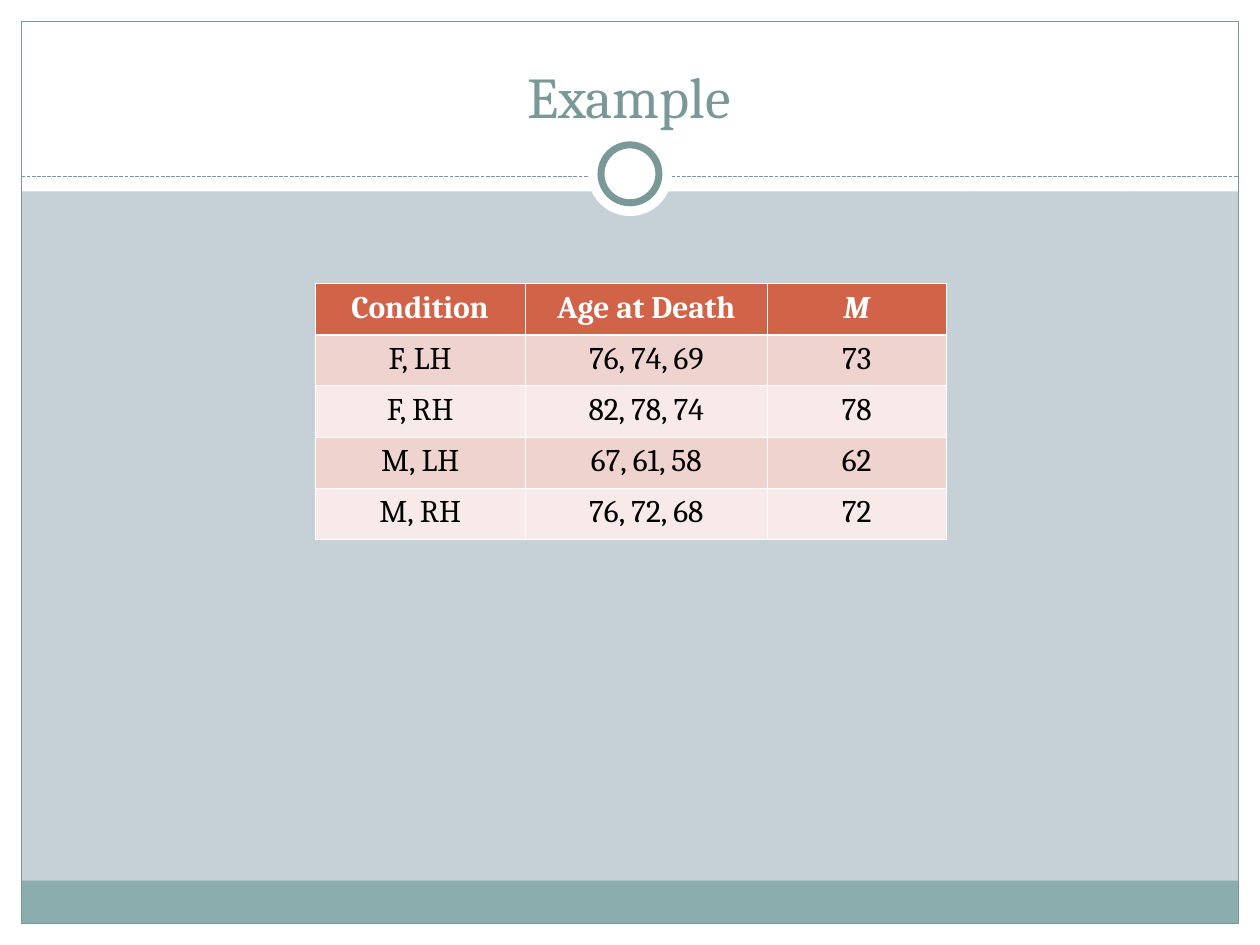
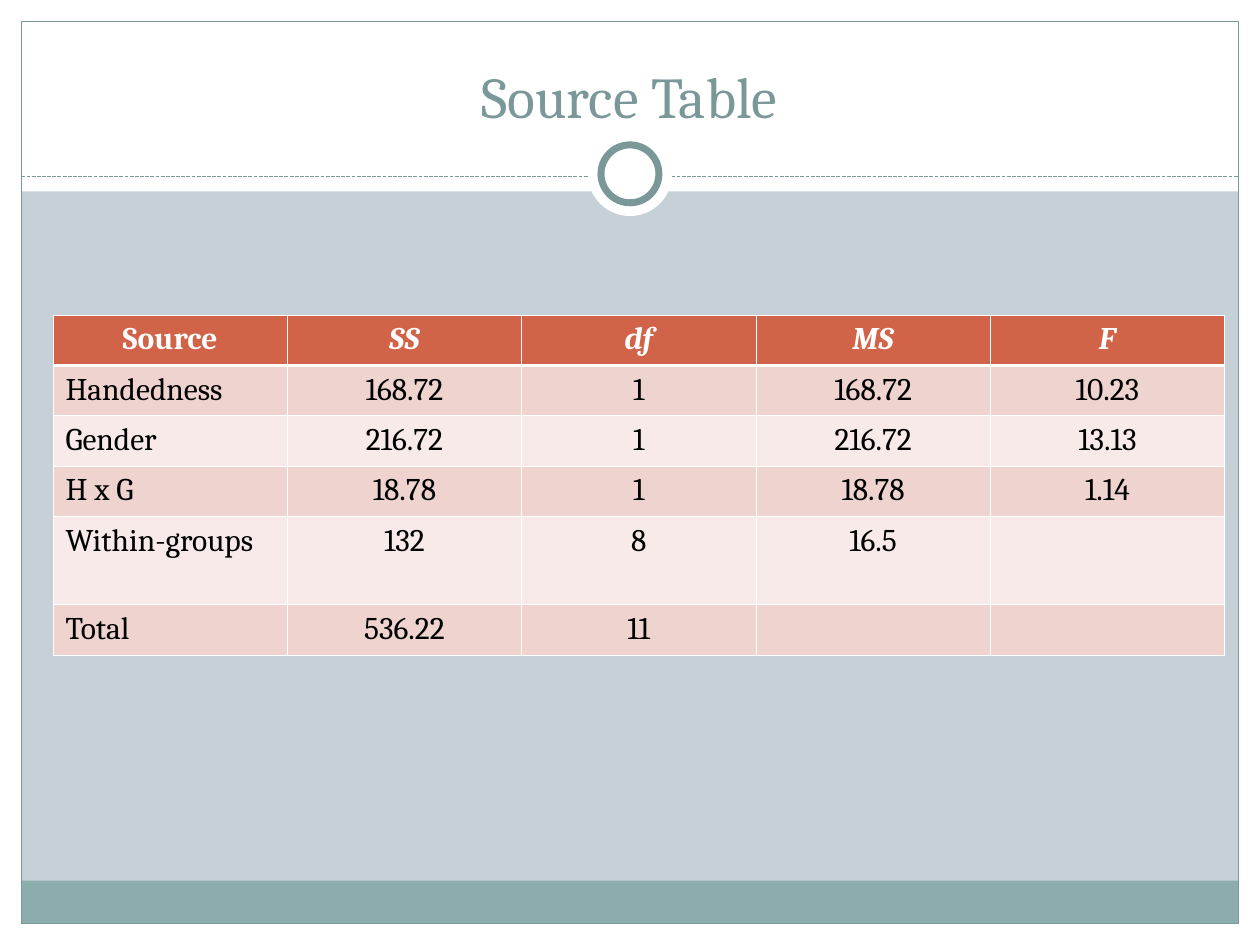
import lxml.etree
import pptx
import pptx.dml.color
import pptx.enum.dml
import pptx.enum.shapes
import pptx.enum.text
import pptx.oxml
import pptx.oxml.ns
import pptx.util

Inches = pptx.util.Inches
Pt = pptx.util.Pt
Shape = pptx.enum.shapes.MSO_SHAPE
Align = pptx.enum.text.PP_ALIGN

FONT = "Cambria"
WHITE = "FFFFFF"
BLACK = "000000"
SLATE = "7B9899"
FOOTER_TEAL = "8CADAE"
BACKDROP = "C5D1D7"
HEADER_RED = "D16349"
ROW_FILLS = ("EED3CF", "F7EAE9")

WIDTH, HEIGHT = 10, 7.5
MARGIN = 0.17
THIN_BORDER, HEADER_RULE = 0.45, 1.47

CONDITIONS = [
    ["Condition", "Age at Death", "M"],
    ["F, LH", "76, 74, 69", "73"],
    ["F, RH", "82, 78, 74", "78"],
    ["M, LH", "67, 61, 58", "62"],
    ["M, RH", "76, 72, 68", "72"],
]
VARIANCE_SOURCES = [
    ["Source", "SS", "df", "MS", "F"],
    ["Handedness", "168.72", "1", "168.72", "10.23"],
    ["Gender", "216.72", "1", "216.72", "13.13"],
    ["H x G", "18.78", "1", "18.78", "1.14"],
    ["Within-groups", "132", "8", "16.5", ""],
    ["Total", "536.22", "11", "", ""],
]
STATISTICS = {"M", "SS", "df", "MS", "F"}


def color(hex_text):
    return pptx.dml.color.RGBColor.from_string(hex_text)


def add_figure(page, kind, left, top, width, height, fill=None, line=None, weight=0.75):
    figure = page.shapes.add_shape(
        kind, Inches(left), Inches(top), Inches(width), Inches(height))
    figure.shadow.inherit = False
    if fill:
        figure.fill.solid()
        figure.fill.fore_color.rgb = color(fill)
    else:
        figure.fill.background()
    if line:
        figure.line.color.rgb = color(line)
        figure.line.width = Pt(weight)
    else:
        figure.line.fill.background()


def add_dashed_rule(page, top):
    rule = page.shapes.add_connector(
        pptx.enum.shapes.MSO_CONNECTOR.STRAIGHT,
        Inches(MARGIN), Inches(top), Inches(WIDTH - MARGIN), Inches(top))
    rule.line.color.rgb = color(SLATE)
    rule.line.width = Pt(0.75)
    rule.line.dash_style = pptx.enum.dml.MSO_LINE.SQUARE_DOT
    lxml.etree.SubElement(rule.element.spPr, pptx.oxml.ns.qn("a:effectLst"))


def add_ring(page, diameter, **style):
    """Draw a white circle centred on the ring below the title."""
    add_figure(page, Shape.OVAL, WIDTH / 2 - diameter / 2, 1.38 - diameter / 2,
               diameter, diameter, fill=WHITE, **style)


def draw_frame(page):
    inner_width = WIDTH - 2 * MARGIN
    bands = [
        (0, HEIGHT - MARGIN, WIDTH, MARGIN, WHITE),
        (0, 0, WIDTH, 1.52, WHITE),
        (0, 0, MARGIN, HEIGHT, WHITE),
        (WIDTH - MARGIN, 0, MARGIN, HEIGHT, WHITE),
        (MARGIN, 6.99, inner_width, 0.34, FOOTER_TEAL),
    ]
    for left, top, width, height, fill in bands:
        add_figure(page, Shape.RECTANGLE, left, top, width, height, fill)
    add_figure(page, Shape.RECTANGLE, MARGIN, MARGIN, inner_width,
               HEIGHT - 2 * MARGIN, line=SLATE)
    add_dashed_rule(page, 1.4)
    add_ring(page, 0.67)
    add_ring(page, 0.46, line=SLATE, weight=4)


def share_frame(page):
    """Draw the frame on a page, then hand it to the page's layout."""
    layout = page.slide_layout
    layout.background.fill.solid()
    layout.background.fill.fore_color.rgb = color(BACKDROP)
    tree = layout.shapes.element
    for holder in list(layout.placeholders):
        if holder.placeholder_format.type != pptx.enum.shapes.PP_PLACEHOLDER.TITLE:
            tree.remove(holder.element)
    draw_frame(page)
    frame = [shape.element for shape in page.shapes if not shape.is_placeholder]
    for position, element in enumerate(frame, start=2):
        tree.insert(position, element)


def set_title(page, text):
    title = page.shapes.title
    title.left, title.top = Inches(0.33), Inches(0.25)
    title.width, title.height = Inches(9.33), Inches(0.83)
    frame = title.text_frame
    frame.text = text
    frame.auto_size = pptx.enum.text.MSO_AUTO_SIZE.NONE
    frame.vertical_anchor = pptx.enum.text.MSO_ANCHOR.BOTTOM
    para = frame.paragraphs[0]
    para.alignment = Align.CENTER
    para.font.name = FONT
    para.font.size = Pt(33)
    para.font.color.rgb = color(SLATE)


def set_borders(cell, top, bottom):
    """Give a cell white borders; top and bottom are widths in points."""
    sides = {"lnL": THIN_BORDER, "lnR": THIN_BORDER, "lnT": top, "lnB": bottom}
    for side, weight in sides.items():
        cell._tc.get_or_add_tcPr().append(pptx.oxml.parse_xml(
            f'<a:{side} {pptx.oxml.ns.nsdecls("a")} w="{Pt(weight)}">'
            f'<a:solidFill><a:srgbClr val="{WHITE}"/></a:solidFill></a:{side}>'))


def fill_cell(cell, text, row, alignment):
    is_header = row == 0
    set_borders(cell, HEADER_RULE if row == 1 else THIN_BORDER,
                HEADER_RULE if is_header else THIN_BORDER)
    cell.fill.solid()
    cell.fill.fore_color.rgb = color(HEADER_RED if is_header else ROW_FILLS[(row - 1) % 2])
    cell.text = text
    para = cell.text_frame.paragraphs[0]
    para.alignment = alignment
    para.font.name = FONT
    para.font.size = Pt(18)
    para.font.bold = is_header
    para.font.italic = is_header and text in STATISTICS
    para.font.color.rgb = color(WHITE if is_header else BLACK)


def add_data_table(page, rows, left, top, widths, heights, label_alignment):
    """Add a table; label_alignment applies to the first column below the header."""
    table = page.shapes.add_table(
        len(rows), len(widths), Inches(left), Inches(top),
        Inches(sum(widths)), Inches(sum(heights))).table
    table.horz_banding = False
    for column, width in zip(table.columns, widths):
        column.width = Inches(width)
    for table_row, height in zip(table.rows, heights):
        table_row.height = Inches(height)
    for row, texts in enumerate(rows):
        for column, text in enumerate(texts):
            is_label = row > 0 and column == 0
            fill_cell(table.cell(row, column), text, row,
                      label_alignment if is_label else Align.CENTER)


def main():
    deck = pptx.Presentation()
    deck.slide_width, deck.slide_height = Inches(WIDTH), Inches(HEIGHT)
    title_only = deck.slide_layouts[5]

    example = deck.slides.add_slide(title_only)
    share_frame(example)
    set_title(example, "Example")
    add_data_table(example, CONDITIONS, 2.5, 2.25, [1.67, 1.92, 1.42],
                   [2.03 / 5] * 5, Align.CENTER)

    source_table = deck.slides.add_slide(title_only)
    set_title(source_table, "Source Table")
    add_data_table(source_table, VARIANCE_SOURCES, 0.42, 2.5, [1.86] * 5,
                   [0.4] * 4 + [0.7, 0.4], Align.LEFT)

    deck.save("out.pptx")


if __name__ == "__main__":
    main()
